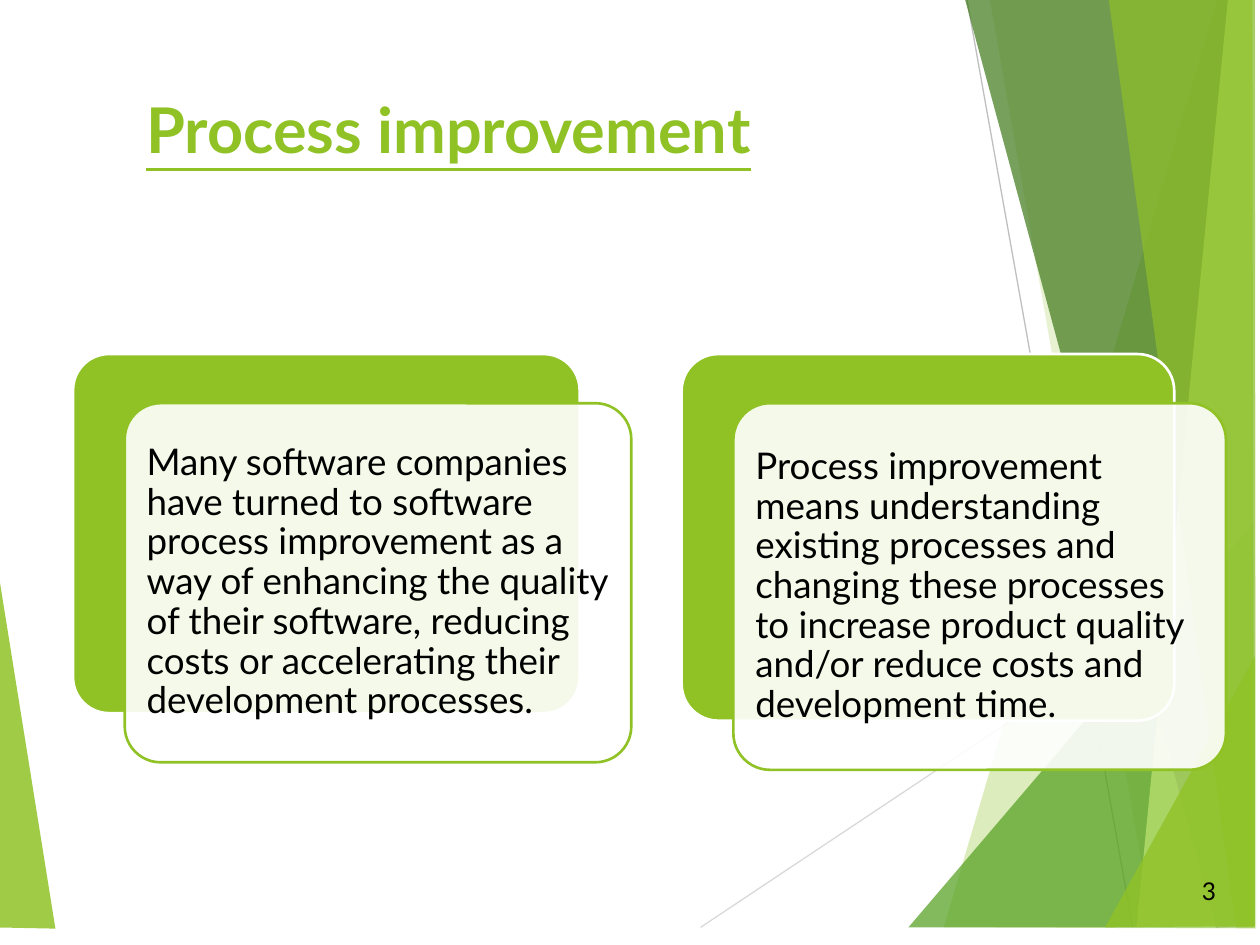
"""Build the "Process improvement" slide: green facets, a title and two layered cards."""
from lxml import etree
from pptx import Presentation
from pptx.dml.color import RGBColor
from pptx.enum.shapes import MSO_CONNECTOR, MSO_SHAPE
from pptx.enum.text import MSO_ANCHOR, PP_ALIGN
from pptx.oxml.ns import qn
from pptx.util import Inches, Pt

STRAIGHT = MSO_CONNECTOR.STRAIGHT
ROUNDED = MSO_SHAPE.ROUNDED_RECTANGLE
TOP, MIDDLE = MSO_ANCHOR.TOP, MSO_ANCHOR.MIDDLE
LEFT, RIGHT = PP_ALIGN.LEFT, PP_ALIGN.RIGHT
COLORS = {
    "green": "90C226", "leaf": "54A021", "forest": "3F7819", "lime": "C0E474",
    "white": "FFFFFF", "black": "000000", "silver": "D9D9D9", "gray": "BFBFBF",
}


def fill_shape(shape, color, opacity=100):
    shape.shadow.inherit = False
    shape.fill.solid()
    shape.fill.fore_color.rgb = RGBColor.from_string(COLORS[color])
    if opacity < 100:
        color_element = shape.fill._xPr.find(qn("a:solidFill"))[0]
        etree.SubElement(color_element, qn("a:alpha"), val=str(opacity * 1000))


def write_text(shape, text, color, size, anchor, align, **font_format):
    frame = shape.text_frame
    frame.text = text
    frame.word_wrap = True
    frame.vertical_anchor = anchor
    paragraph = frame.paragraphs[0]
    paragraph.alignment = align
    font = paragraph.runs[0].font
    font.color.rgb = RGBColor.from_string(COLORS[color])
    for name, value in {"name": "Lato", "size": Pt(size), **font_format}.items():
        setattr(font, name, value)
    return paragraph


presentation = Presentation()
presentation.slide_width, presentation.slide_height = Inches(10), Inches(7.5)
slide = presentation.slides.add_slide(presentation.slide_layouts[5])
shapes = slide.shapes

rays = [
    ((5.56, 7.36), (9.96, 4.43), "silver"),
    ((7.65, -0.14), (8.99, 7.36), "gray"),
]
facets = [
    ("green", 85, [(-0.06, 4.25), (0.44, 7.37), (-0.06, 7.36)]),
    ("green", 30, [(9.7, -0.14), (7.49, 7.36), (9.97, 7.37), (9.96, -0.13)]),
    ("green", 20, [(7.83, -0.15), (9.15, 7.36), (9.96, 7.36), (9.96, -0.15)]),
    ("leaf", 72, [(7.21, 7.36), (9.95, 4.15), (9.96, 7.36)]),
    ("forest", 70, [(7.62, -0.15), (9.65, 7.36), (9.96, 7.35), (9.96, -0.15)]),
    ("lime", 70, [(9.76, -0.15), (9.02, 7.36), (9.96, 7.36), (9.96, -0.15)]),
    ("green", 65, [(8.78, -0.15), (9.81, 7.36), (9.95, 7.36), (9.94, -0.15)]),
    ("green", 80, [(8.77, 7.36), (9.96, 5.21), (9.96, 7.35)]),
]
for start, end, color in rays:
    ray = shapes.add_connector(STRAIGHT, *map(Inches, start + end))
    ray.line.color.rgb = RGBColor.from_string(COLORS[color])
    ray.line.width = Pt(0.75)
    etree.SubElement(ray._element.spPr, qn("a:effectLst"))

for color, opacity, points in facets:
    corners = [(Inches(x), Inches(y)) for x, y in points]
    builder = shapes.build_freeform(*corners[0])
    builder.add_line_segments(corners[1:], close=True)
    facet = builder.convert_to_shape()
    fill_shape(facet, color, opacity)
    facet.line.fill.background()

title = shapes.title
title.left, title.top = Inches(1.06), Inches(0.67)
title.width, title.height = Inches(8.36), Inches(1.2)
write_text(title, "Process improvement", "green", 36, TOP, LEFT, bold=True, underline=True)

cards = [
    (0.58, 4.02, 2.85,
     "Many software companies have turned to software process improvement as a way of "
     "enhancing the quality of their software, reducing costs or accelerating their "
     "development processes."),
    (5.41, 3.91, 2.91,
     "Process improvement means understanding existing processes and changing these "
     "processes to increase product quality and/or reduce costs and development time."),
]
layers = [(0, 0, "green", 100, "white"), (0.41, 0.39, "white", 90, "green")]
for left, width, height, text in cards:
    for shift_x, shift_y, color, opacity, outline in layers:
        card = shapes.add_shape(ROUNDED, Inches(left + shift_x), Inches(2.81 + shift_y),
                                Inches(width), Inches(height))
        card.adjustments[0] = 0.1
        fill_shape(card, color, opacity)
        card.line.color.rgb = RGBColor.from_string(COLORS[outline])
        card.line.width = Pt(1.5)
    paragraph = write_text(card, text, "black", 21, MIDDLE, LEFT)
    paragraph.line_spacing = 0.9
    for side in ("left", "right", "top", "bottom"):
        setattr(card.text_frame, f"margin_{side}", Inches(0.09))

number = shapes.add_textbox(Inches(9.19), Inches(6.87), Inches(0.56), Inches(0.4))
write_text(number, "3", "black", 14, MIDDLE, RIGHT)

presentation.save("out.pptx")
